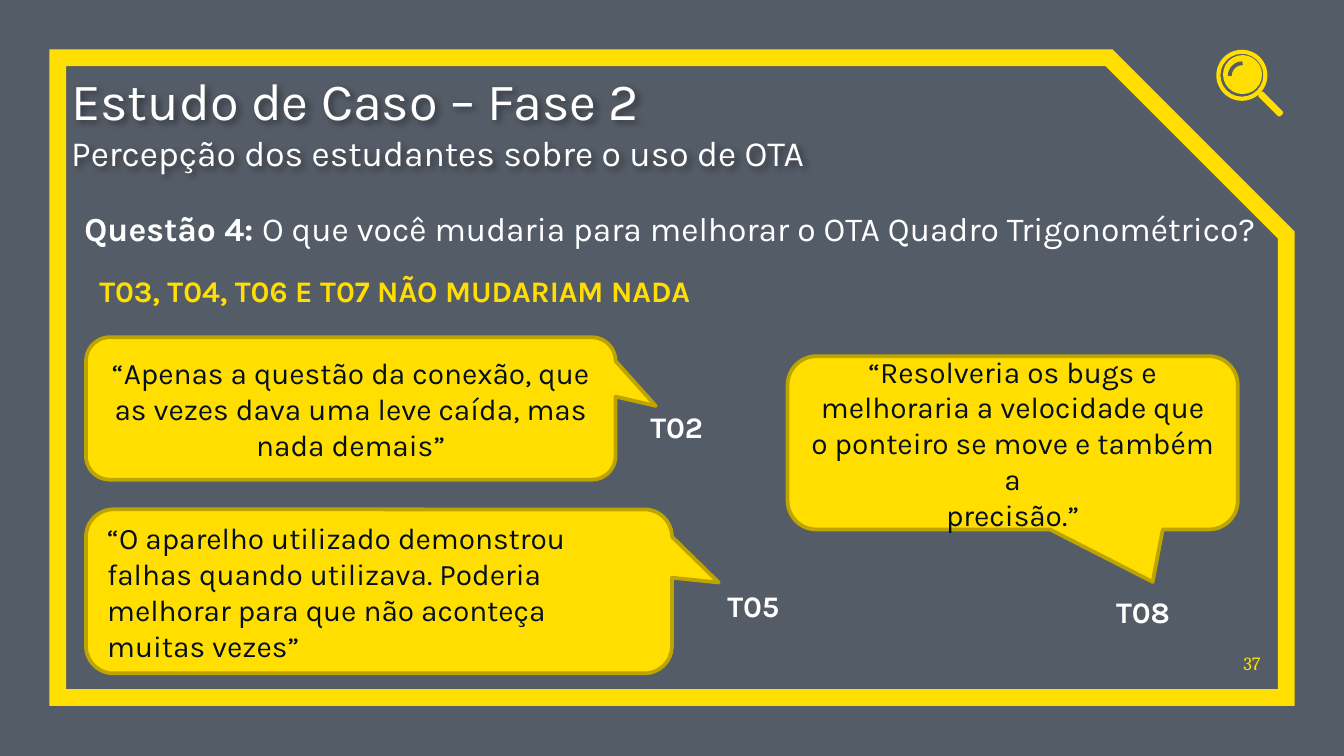
from lxml import etree
from pptx import Presentation
from pptx.dml.color import RGBColor
from pptx.enum.shapes import MSO_SHAPE
from pptx.enum.text import MSO_ANCHOR, PP_ALIGN
from pptx.oxml.ns import qn
from pptx.util import Inches, Pt

RECTANGLE = MSO_SHAPE.RECTANGLE
ROUNDED = MSO_SHAPE.ROUNDED_RECTANGLE
SNIPPED = MSO_SHAPE.SNIP_1_RECTANGLE
CALLOUT = MSO_SHAPE.ROUNDED_RECTANGULAR_CALLOUT
DONUT, OVAL, ARC = MSO_SHAPE.DONUT, MSO_SHAPE.OVAL, MSO_SHAPE.ARC
TOP, MIDDLE, BOTTOM = MSO_ANCHOR.TOP, MSO_ANCHOR.MIDDLE, MSO_ANCHOR.BOTTOM
LEFT, CENTER, RIGHT = PP_ALIGN.LEFT, PP_ALIGN.CENTER, PP_ALIGN.RIGHT

YELLOW, DARK_YELLOW = "FFDE00", "BDA400"
NAVY, SLATE, WHITE, BLACK = "040F20", "545C67", "FFFFFF", "000000"

SLIDE_WIDTH = 10
SLIDE_HEIGHT = SLIDE_WIDTH * 9 / 16


def color(value):
    return RGBColor.from_string(value)


def add_figure(slide, kind, box, fill=None, line=None, line_width=1, adjustments=(), rotation=0):
    shape = slide.shapes.add_shape(kind, *map(Inches, box))
    shape.shadow.inherit = False
    shape.rotation = rotation
    for index, value in enumerate(adjustments):
        shape.adjustments[index] = value
    if fill:
        shape.fill.solid()
        shape.fill.fore_color.rgb = color(fill)
    else:
        shape.fill.background()
    if line:
        shape.line.color.rgb = color(line)
        shape.line.width = Pt(line_width)
    else:
        shape.line.fill.background()
    return shape


def write_text(shape, paragraphs, size=16, text_color=WHITE, font="Karla",
               align=LEFT, anchor=TOP, margins=None):
    """Each paragraph is a list of (text, overrides) runs."""
    frame = shape.text_frame
    frame.word_wrap = True
    frame.vertical_anchor = anchor
    if margins is not None:
        frame.margin_left = frame.margin_right = Inches(margins)
        frame.margin_top = frame.margin_bottom = Inches(margins)
    for index, runs in enumerate(paragraphs):
        paragraph = frame.add_paragraph() if index else frame.paragraphs[0]
        paragraph.alignment = align
        for text, overrides in runs:
            run = paragraph.add_run()
            run.text = text
            run.font.name = font
            run.font.size = Pt(overrides.get("size", size))
            run.font.bold = overrides.get("bold", False)
            run.font.color.rgb = color(text_color)


def add_text(slide, box, paragraphs, **text_format):
    text_box = slide.shapes.add_textbox(*map(Inches, box))
    write_text(text_box, paragraphs, **text_format)
    return text_box


def add_callout(slide, box, pointer, lines, align):
    shape = add_figure(slide, CALLOUT, box, YELLOW, DARK_YELLOW, 2, (*pointer, 0.167))
    write_text(shape, [[(line, {})] for line in lines],
               text_color=NAVY, align=align, anchor=MIDDLE)


def set_alpha(shape, percent):
    fill_color = shape._element.spPr.find(qn("a:solidFill"))[0]
    etree.SubElement(fill_color, qn("a:alpha"), val=str(percent * 1000))


def add_soft_shadow(shape):
    effects = etree.SubElement(shape._element.spPr, qn("a:effectLst"))
    shadow = etree.SubElement(effects, qn("a:outerShdw"), blurRad="38100",
                              dist="25400", dir="2700000", algn="tl")
    shade = etree.SubElement(shadow, qn("a:srgbClr"), val=BLACK)
    etree.SubElement(shade, qn("a:alpha"), val="40000")


def add_background(slide):
    overlay = add_figure(slide, RECTANGLE, (0, 0, SLIDE_WIDTH, SLIDE_HEIGHT), NAVY)
    set_alpha(overlay, 68)
    border = add_figure(slide, SNIPPED, (0.43, 0.43, 9.14, 4.76), None, YELLOW, 9, (0.277,))
    border_line = border._element.spPr.find(qn("a:ln"))
    etree.SubElement(border_line, qn("a:miter"), lim="800000")


def add_magnifier(slide):
    add_figure(slide, DONUT, (9.05, 0.37, 0.38, 0.38), YELLOW, adjustments=(0.08,))
    add_figure(slide, OVAL, (9.1, 0.41, 0.29, 0.29), YELLOW)
    add_figure(slide, ARC, (9.15, 0.47, 0.19, 0.19), None, SLATE, 2, rotation=-90)
    add_figure(slide, ROUNDED, (9.34, 0.75, 0.23, 0.05), YELLOW,
               adjustments=(0.3,), rotation=45)


def main():
    presentation = Presentation()
    presentation.slide_width = Inches(SLIDE_WIDTH)
    presentation.slide_height = Inches(SLIDE_HEIGHT)
    slide = presentation.slides.add_slide(presentation.slide_layouts[6])

    # Backdrop, slide number and icon
    add_background(slide)
    add_text(slide, (9.11, 4.74, 0.27, 0.28), [[("37", {})]], size=10, font="Cambria",
             text_color=YELLOW, align=RIGHT, anchor=BOTTOM, margins=0)
    add_magnifier(slide)

    # Title and question
    title = add_text(slide, (0.53, 0.54, 8.41, 0.75), [
        [("Estudo de Caso – Fase 2", {"size": 28})],
        [("Percepção dos estudantes sobre o uso de OTA", {"size": 19})],
    ], anchor=BOTTOM, margins=0)
    add_soft_shadow(title)
    add_text(slide, (0.53, 1.5, 9.02, 0.4), [[
        ("Questão 4: ", {"bold": True}),
        ("O que você mudaria para melhorar o OTA Quadro Trigonométrico?", {}),
    ]], size=18)
    add_text(slide, (0.64, 1.98, 4.88, 0.37),
             [[("T03, T04, T06 E T07 NÃO MUDARIAM NADA", {"bold": True})]], text_color=YELLOW)

    # Student answers
    add_callout(slide, (0.64, 2.51, 3.94, 1.06), (0.576, -0.018), [
        "“Apenas a questão da conexão, que as vezes dava uma leve caída, mas nada demais”",
    ], CENTER)
    add_callout(slide, (5.86, 2.65, 3.35, 1.29), (0.311, 0.802), [
        "“Resolveria os bugs e melhoraria a velocidade que o ponteiro se move e também a",
        "precisão.”",
    ], CENTER)
    add_callout(slide, (0.64, 3.79, 4.36, 1.22), (0.58, -0.054), [
        "“O aparelho utilizado demonstrou falhas quando utilizava. "
        "Poderia melhorar para que não aconteça muitas vezes”",
    ], LEFT)

    # Student labels
    for name, left, top in (("T02", 4.72, 2.99), ("T08", 8.19, 4.37), ("T05", 5.29, 4.32)):
        add_text(slide, (left, top, 0.63, 0.37), [[(name, {"bold": True})]], align=CENTER)

    presentation.save("out.pptx")


if __name__ == "__main__":
    main()
